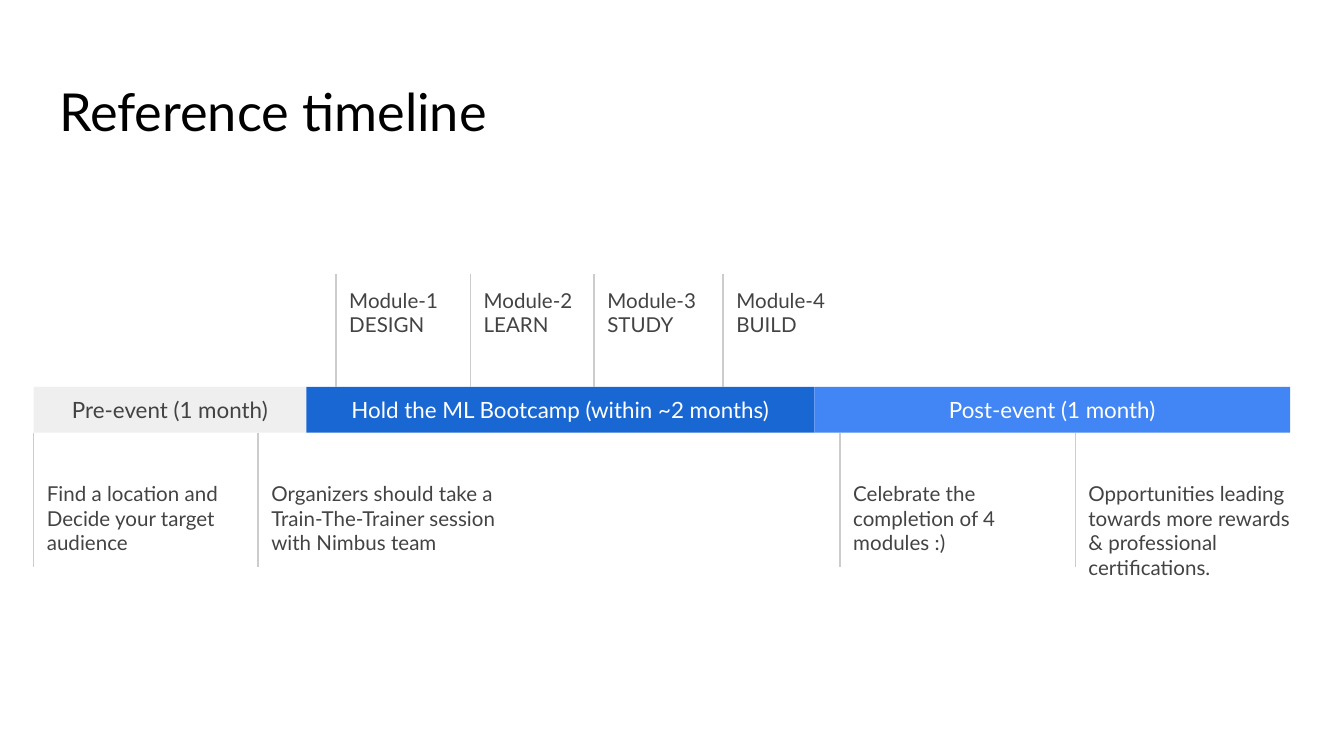
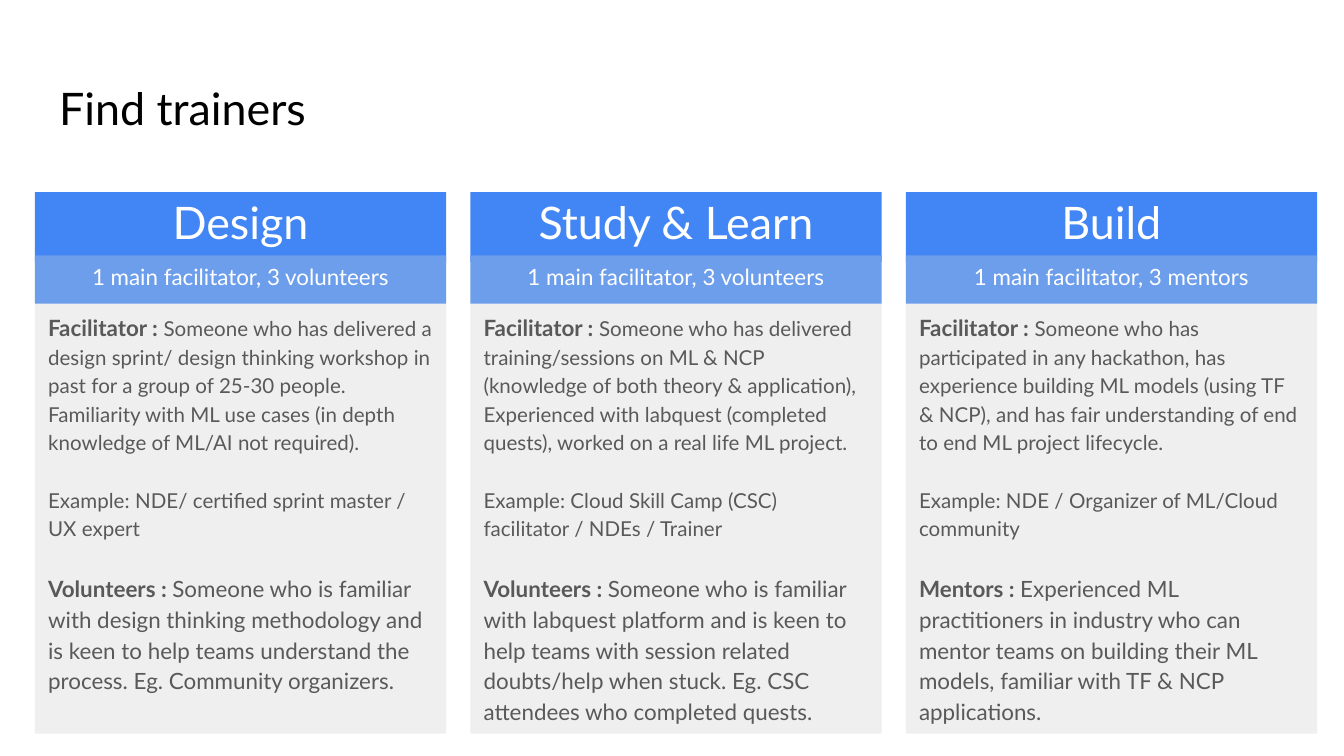
from lxml import etree
from pptx import Presentation
from pptx.dml.color import RGBColor
from pptx.enum.shapes import MSO_CONNECTOR, MSO_SHAPE
from pptx.enum.text import MSO_ANCHOR, PP_ALIGN
from pptx.oxml.ns import qn
from pptx.util import Inches, Pt

LINE, RECT = MSO_CONNECTOR.STRAIGHT, MSO_SHAPE.RECTANGLE
TOP, MIDDLE, BOTTOM = MSO_ANCHOR.TOP, MSO_ANCHOR.MIDDLE, MSO_ANCHOR.BOTTOM
LEFT, CENTER = PP_ALIGN.LEFT, PP_ALIGN.CENTER

FONT = "Lato"
BLACK, WHITE, DARK, GRAY = "000000", "FFFFFF", "434343", "595959"
PALE, RULE = "EFEFEF", "CCCCCC"
NAVY, BLUE, SKY = "1967D2", "4285F4", "6D9EEB"

WIDE, HIGH = 100, 56.25  # slide size in grid columns and rows
CELL = 0.1               # inches to a column or row

PHASES = [
    ("Pre-event (1 month)", 20.3, PALE, DARK),
    ("Hold the ML Bootcamp (within ~2 months)", 37.8, NAVY, WHITE),
    ("Post-event (1 month)", 35.4, BLUE, WHITE),
]
MODULES = [(22.5, "DESIGN"), (32.5, "LEARN"), (41.7, "STUDY"), (51.3, "BUILD")]
STEPS = [
    (0, 15.9, "Find a location and \vDecide your target audience"),
    (16.7, 20.2, "Organizers should take a Train-The-Trainer session "
                 "with Nimbus team"),
    (60, 18.3, "Celebrate the completion of 4 modules :)"),
    (77.5, 18.3, "Opportunities leading towards more rewards & professional "
                 "certifications."),
]
TRACKS = [
    ("Design", "1 main facilitator, 3 volunteers",
     "Someone who has delivered a design sprint/ design thinking workshop in "
     "past for a group of 25-30 people. Familiarity with ML use cases (in "
     "depth knowledge of ML/AI not required).",
     "Example: NDE/ certified sprint master / UX expert",
     "Volunteers : ",
     "Someone who is familiar with design thinking methodology and is keen to "
     "help teams understand the process. Eg. Community organizers."),
    ("Study & Learn", "1 main facilitator, 3 volunteers",
     "Someone who has delivered training/sessions on ML & NCP (knowledge of "
     "both theory & application), Experienced with labquest (completed "
     "quests), worked on a real life ML project.",
     "Example: Cloud Skill Camp (CSC) facilitator / NDEs / Trainer",
     "Volunteers : ",
     "Someone who is familiar with labquest platform and is keen to help "
     "teams with session related doubts/help when stuck. Eg. CSC attendees "
     "who completed quests."),
    ("Build", "1 main facilitator, 3 mentors",
     "Someone who has participated in any hackathon, has experience building "
     "ML models (using TF & NCP), and has fair understanding of end to end "
     "ML project lifecycle.",
     "Example: NDE / Organizer of ML/Cloud community",
     "Mentors : ",
     "Experienced ML practitioners in industry who can mentor teams on "
     "building their ML models, familiar with TF & NCP applications."),
]


def color(code):
    return RGBColor.from_string(code)


def span(*cells):
    return [Inches(cell * CELL) for cell in cells]


def style(font, size, code):
    font.name, font.size = FONT, Pt(size)
    font.color.rgb = color(code)


def setup(frame, anchor):
    frame.word_wrap = True
    frame.vertical_anchor = anchor
    frame.margin_left = frame.margin_right = Inches(0.1)
    frame.margin_top = frame.margin_bottom = Inches(0.1)


def write(frame, text, size, code, anchor=TOP, align=LEFT):
    """Fill a frame with text in one style, a paragraph for each line."""
    setup(frame, anchor)
    frame.text = text
    for para in frame.paragraphs:
        para.alignment = align
        style(para.font, size, code)


def panel(slide, box, fill):
    shape = slide.shapes.add_shape(RECT, *span(*box))
    shape.shadow.inherit = False
    shape.fill.solid()
    shape.fill.fore_color.rgb = color(fill)
    shape.line.fill.background()
    return shape.text_frame


def note(slide, box, text):
    write(slide.shapes.add_textbox(*span(*box)).text_frame, text, 11, DARK)


def rule(slide, x, top, end):
    line = slide.shapes.add_connector(LINE, *span(x, top, x, end))
    line.line.color.rgb = color(RULE)
    line.line.width = Pt(0.75)
    etree.SubElement(line._element.spPr, qn("a:effectLst"))


def titled(deck, text, box, size, anchor):
    """Add a slide with its title and return it."""
    slide = deck.slides.add_slide(deck.slide_layouts[5])
    title = slide.shapes.title
    title.left, title.top, title.width, title.height = span(*box)
    write(title.text_frame, text, size, BLACK, anchor)
    return slide


def phases(slide, box):
    x, y, _, high = box
    for text, wide, fill, ink in PHASES:
        frame = panel(slide, (x, y, wide, high), fill)
        write(frame, text, 12, ink, MIDDLE, CENTER)
        x += wide


def modules(slide, box):
    left, top, _, high = box
    for num, (shift, name) in enumerate(MODULES, 1):
        x = left + shift
        rule(slide, x, top, top + high)
        note(slide, (x, top, 9.9, 6.6), f"Module-{num}\n{name}")


def steps(slide, box):
    left, top, _, high = box
    drop = 2.6
    for shift, wide, text in STEPS:
        x = left + shift
        rule(slide, x, top, top + high)
        note(slide, (x, top + drop, wide, high - drop), text)


def timeline(deck):
    slide = titled(deck, "Reference timeline", (3.4, 4.9, 93.2, 6.3), 28, TOP)
    left, wide = 2.5, 93.5
    phases(slide, (left, 28.8, wide, 3.4))
    modules(slide, (left, 20.4, wide, 8.4))
    steps(slide, (left, 32.2, wide, 10))


def roles(frame, lead, sample, label, aid):
    """Write the role paragraphs, each a size and (text, bold, size) runs."""
    setup(frame, TOP)
    paras = [
        (11, [("Facilitator : ", True, 12), (lead, False, 11)]),
        (11, [(sample, False, 11)]),
        (12, [(label, True, 12), (aid, False, 12)]),
    ]
    for index, (base, runs) in enumerate(paras):
        para = frame.add_paragraph() if index else frame.paragraphs[0]
        para.alignment = LEFT
        para.line_spacing = 1.15
        if index:
            para.space_before = Pt(16)
        style(para.font, base, GRAY)
        for text, bold, size in runs:
            run = para.add_run()
            run.text = text
            if bold:
                run.font.bold = True
            if size != base:
                run.font.size = Pt(size)


def track(slide, box, name, staff, *parts):
    x, y, wide, high = box
    head = panel(slide, (x, y, wide, 5.2), BLUE)
    write(head, name, 24, WHITE, BOTTOM, CENTER)
    roles(panel(slide, (x, y + 7.8, wide, high - 7.8), PALE), *parts)
    band = panel(slide, (x, y + 4.7, wide, 3.6), SKY)
    write(band, staff, 12, WHITE, BOTTOM, CENTER)


def trainers(deck):
    slide = titled(deck, "Find trainers", (3.4, 2.7, 93.6, 8.3), 24, BOTTOM)
    left, pitch, wide = 2.6, 32.4, 30.6
    for index, item in enumerate(TRACKS):
        track(slide, (left + index * pitch, 14.3, wide, 40.3), *item)


def main():
    deck = Presentation()
    deck.slide_width, deck.slide_height = span(WIDE, HIGH)
    timeline(deck)
    trainers(deck)
    deck.save("out.pptx")


if __name__ == "__main__":
    main()
